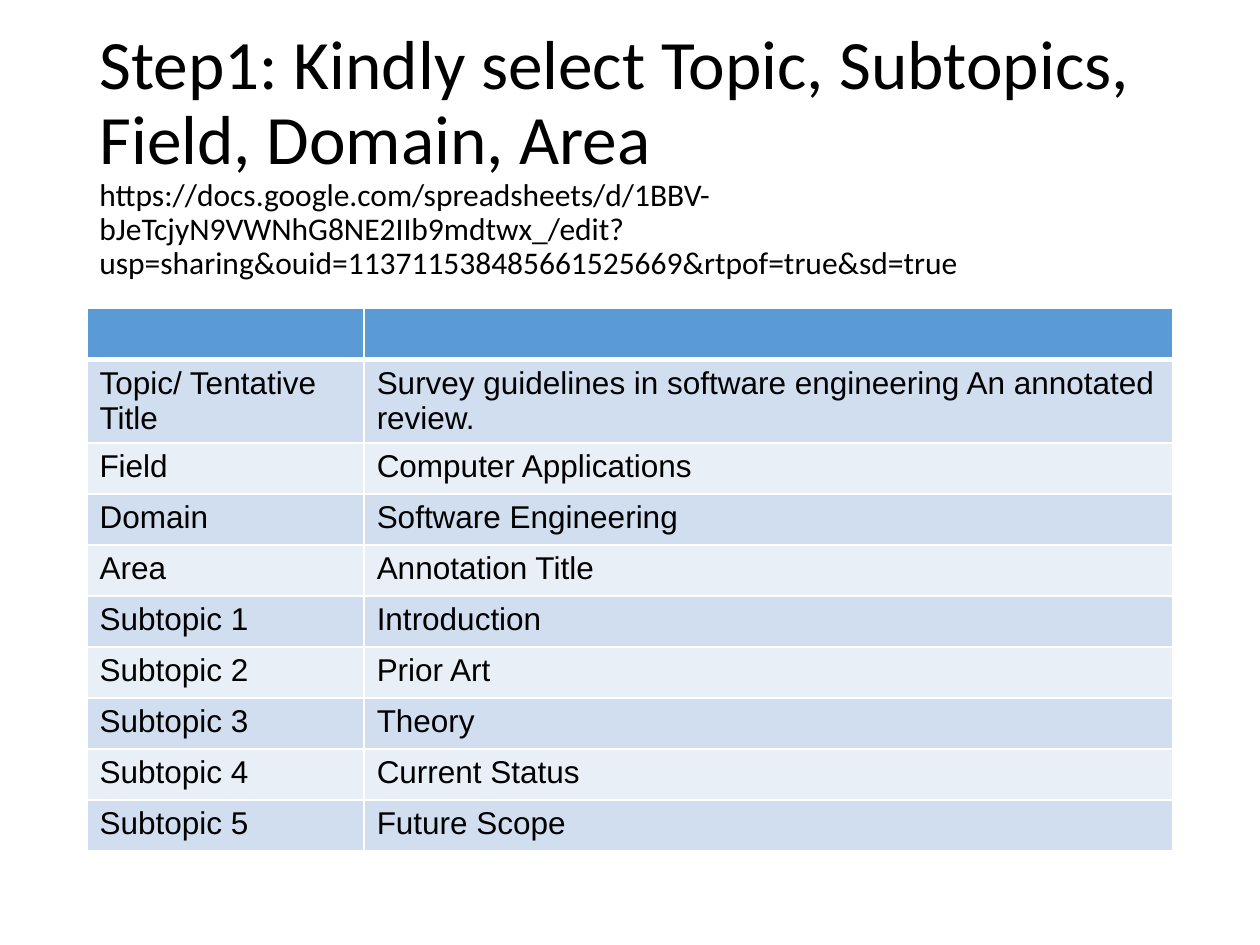
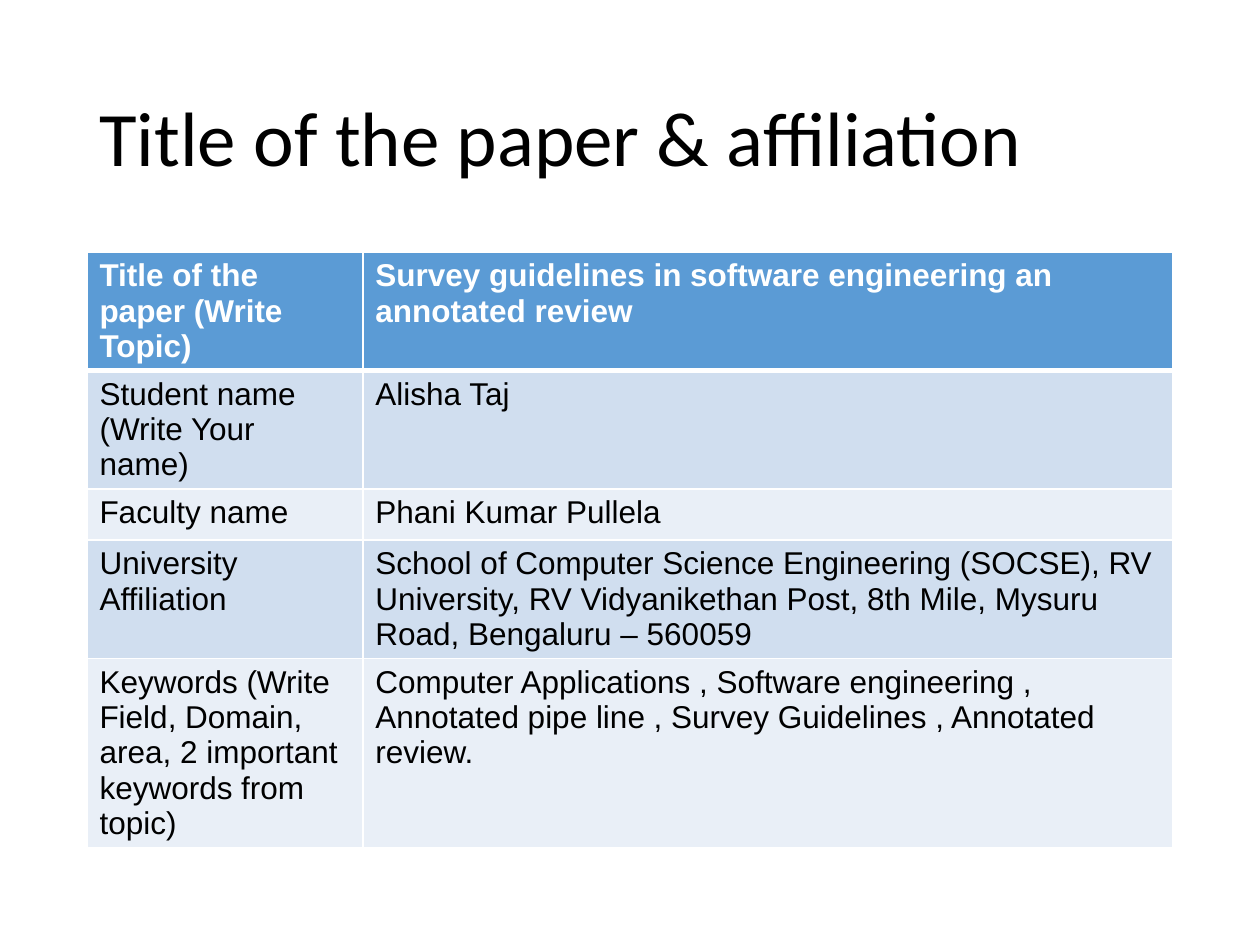
from lxml import etree
from pptx import Presentation
from pptx import util as u
from pptx.dml import color
from pptx.enum import text
from pptx.oxml import ns

COLUMNS, ROWS = 100, 75
LEFT, WIDTH = 6.9, 86.2
TITLE_HEIGHT, ROW_HEIGHT = 14.5, 4.05
BLACK, WHITE, HEADER = "000000", "FFFFFF", "5B9BD5"
BANDS = ("D0DEEF", "E9EFF7")
TITLE_FONT, TABLE_FONT = "Calibri", "Arial"
SMALL = 18


def rgb(code):
    """Turn a hex string into a colour."""
    return color.RGBColor.from_string(code)


def apply(target, formats):
    """Set every attribute named in a dict of format values."""
    for name, value in formats.items():
        setattr(target, name, value)


class Slides:
    """Hold the shared style and the current slide."""

    def __init__(self):
        """Start a deck with its slide size and grid."""
        self.deck = Presentation()
        apply(self.deck, {"slide_width": u.Inches(10), "slide_height": u.Inches(7.5)})
        self.page = None

    def x(self, columns):
        """Measure a number of grid columns."""
        return round(self.deck.slide_width * columns / COLUMNS)

    def y(self, rows):
        """Measure a number of grid rows."""
        return round(self.deck.slide_height * rows / ROWS)

    def add_page(self):
        """Open a blank white slide."""
        self.page = self.deck.slides.add_slide(self.deck.slide_layouts[6])
        fill = self.page.background.fill
        fill.solid()
        fill.fore_color.rgb = rgb(WHITE)

    def style(self, font, name, size, ink, bold=False):
        """Format a font."""
        apply(font, {"name": name, "size": u.Pt(size), "bold": bold})
        font.color.rgb = rgb(ink)

    def title(self, top, *lines):
        """Add a title whose lines are (wording, size) pairs."""
        box = self.page.shapes.add_textbox(
            self.x(LEFT), self.y(top), self.x(WIDTH), self.y(TITLE_HEIGHT))
        apply(box.text_frame, {
            "word_wrap": True,
            "auto_size": text.MSO_AUTO_SIZE.NONE,
            "vertical_anchor": text.MSO_ANCHOR.MIDDLE,
        })
        para = box.text_frame.paragraphs[0]
        para.line_spacing = 0.9
        for index, (wording, size) in enumerate(lines):
            if index:
                para.add_line_break()
            span = para.add_run()
            span.text = wording
            self.style(span.font, TITLE_FONT, size, BLACK)

    def borders(self, cell, bottom):
        """Draw the white lines around a cell."""
        properties = cell._tc.get_or_add_tcPr()
        for side, width in {"L": 1, "R": 1, "T": 1, "B": bottom}.items():
            line = etree.SubElement(properties, ns.qn(f"a:ln{side}"), w=str(u.Pt(width)))
            fill = etree.SubElement(line, ns.qn("a:solidFill"))
            etree.SubElement(fill, ns.qn("a:srgbClr"), val=WHITE)

    def table(self, top, label_width, records):
        """Add a two-column table with a header and banded rows."""
        grid = self.page.shapes.add_table(
            len(records), 2, self.x(LEFT), self.y(top),
            self.x(WIDTH), self.y(ROW_HEIGHT * len(records))).table
        grid.columns[0].width = self.x(label_width)
        grid.columns[1].width = self.x(WIDTH - label_width)
        for row, record in enumerate(records):
            head = row == 0
            for column, wording in enumerate(record):
                cell = grid.cell(row, column)
                self.borders(cell, 3 if head else 1)
                cell.fill.solid()
                cell.fill.fore_color.rgb = rgb(HEADER if head else BANDS[(row - 1) % 2])
                cell.text = wording
                para = cell.text_frame.paragraphs[0]
                for part in (para, *para.runs):
                    self.style(part.font, TABLE_FONT, SMALL, WHITE if head else BLACK, head)


def main():
    """Build both slides and save the deck."""
    slides = Slides()

    slides.add_page()
    slides.title(
        5.1,
        ("Step1: Kindly select Topic, Subtopics, Field, Domain, Area", 39.6),
        ("https://docs.google.com/spreadsheets/d/1BBV-bJeTcjyN9VWNhG8NE2IIb9mdtwx_/edit"
         "?usp=sharing&ouid=113711538485661525669&rtpof=true&sd=true", SMALL))
    subtopics = ["Introduction", "Prior Art", "Theory", "Current Status", "Future Scope"]
    slides.table(24.5, 22, [
        ("", ""),
        ("Topic/ Tentative Title",
         "Survey guidelines in software engineering An annotated review."),
        ("Field", "Computer Applications"),
        ("Domain", "Software Engineering"),
        ("Area", "Annotation Title"),
        *((f"Subtopic {number}", name) for number, name in enumerate(subtopics, 1)),
    ])

    slides.add_page()
    slides.title(4, ("Title of the paper & affiliation", 44))
    slides.table(20, 21.9, [
        ("Title of the paper (Write Topic)",
         "Survey guidelines in software engineering an annotated review"),
        ("Student name (Write Your name)", "Alisha Taj"),
        ("Faculty name", "Phani Kumar Pullela"),
        ("University Affiliation",
         "School of Computer Science Engineering (SOCSE), RV University, "
         "RV Vidyanikethan Post, 8th Mile, Mysuru Road, Bengaluru – 560059"),
        ("Keywords (Write Field, Domain, area, 2 important keywords from topic)",
         "Computer Applications , Software engineering , Annotated pipe line , "
         "Survey Guidelines , Annotated review."),
    ])

    slides.deck.save("out.pptx")


if __name__ == "__main__":
    main()
